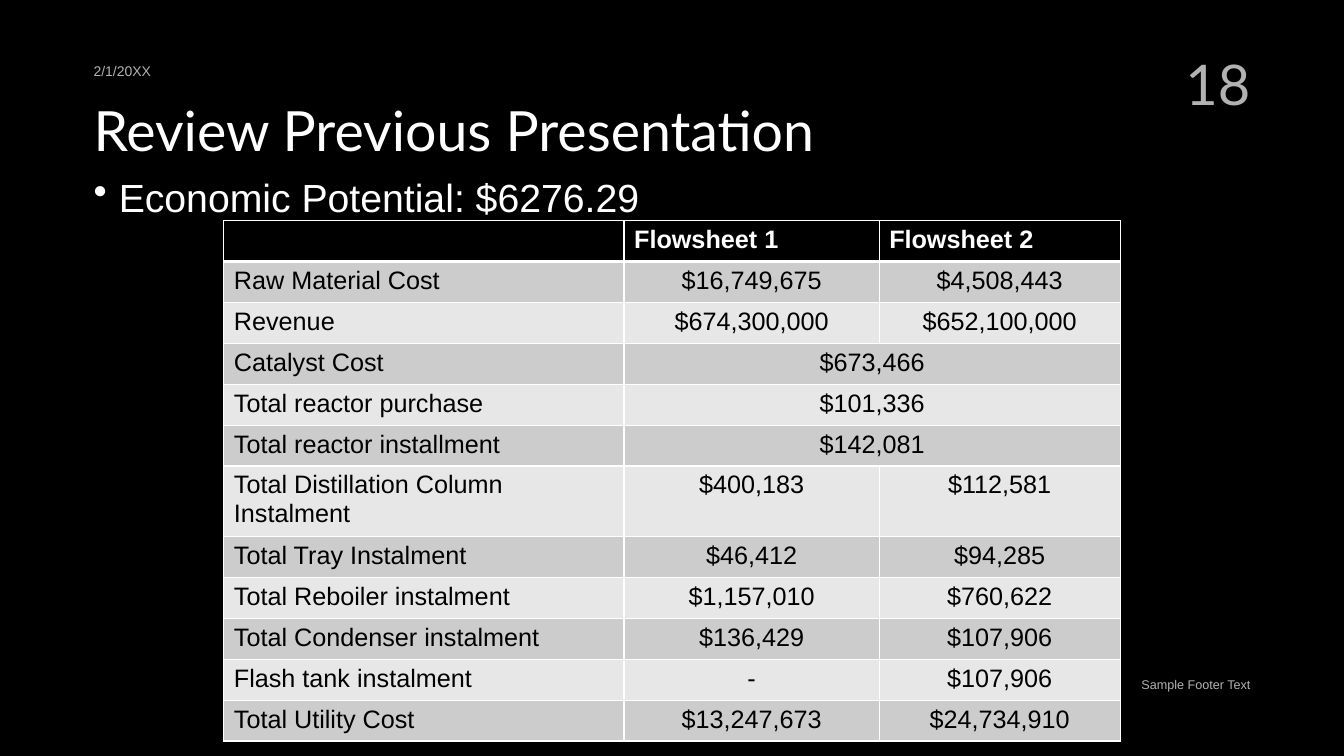
from dataclasses import dataclass

from lxml import etree
from pptx import Presentation
from pptx import util as u
from pptx.dml.color import RGBColor
from pptx.enum import text as t
from pptx.oxml import ns


@dataclass(frozen=True)
class Theme:
    back: str = "000000"
    white: str = "FFFFFF"
    muted: str = "B2B2B2"
    ink: str = "000000"
    bands: tuple[str, str] = ("CCCCCC", "E7E7E7")
    head: str = "Lato"
    body: str = "Arial"
    title: float = 39.6
    page: float = 40
    point: float = 28
    cell: float = 18
    date: float = 10
    foot: float = 9
    thin: float = 1
    thick: float = 3


@dataclass(frozen=True)
class Label:
    words: str
    box: tuple[float, float, float, float]
    face: str
    size: float
    color: str
    align: t.PP_ALIGN = t.PP_ALIGN.LEFT
    anchor: t.MSO_ANCHOR = t.MSO_ANCHOR.TOP
    lead: float = 1.0
    bullet: bool = False


@dataclass(frozen=True)
class Row:
    """A cost line; a single value covers both flowsheets."""
    name: str
    costs: tuple[str, ...]


LOOK = Theme()
RIGHT = t.PP_ALIGN.RIGHT
LABELS = [
    Label("Review Previous Presentation", (0.83, 0.98, 11.67, 0.83),
          LOOK.head, LOOK.title, LOOK.white, lead=0.9),
    Label("2/1/20XX", (0.83, 0.44, 3.33, 0.4), LOOK.body, LOOK.date,
          LOOK.muted, anchor=t.MSO_ANCHOR.BOTTOM),
    Label("18", (10, 0.44, 2.5, 0.83), LOOK.head, LOOK.page, LOOK.muted, RIGHT),
    Label("Economic Potential: $6276.29", (0.83, 1.74, 11.67, 0.51),
          LOOK.body, LOOK.point, LOOK.white, anchor=t.MSO_ANCHOR.MIDDLE,
          lead=0.8, bullet=True),
    Label("Sample Footer Text", (7.5, 6.67, 5, 0.4), LOOK.body, LOOK.foot,
          LOOK.muted, RIGHT),
]
ROWS = [
    Row("", ("Flowsheet 1", "Flowsheet 2")),
    Row("Raw Material Cost", ("$16,749,675", "$4,508,443")),
    Row("Revenue", ("$674,300,000", "$652,100,000")),
    Row("Catalyst Cost", ("$673,466",)),
    Row("Total reactor purchase", ("$101,336",)),
    Row("Total reactor installment", ("$142,081",)),
    Row("Total Distillation Column Instalment", ("$400,183", "$112,581")),
    Row("Total Tray Instalment", ("$46,412", "$94,285")),
    Row("Total Reboiler instalment", ("$1,157,010", "$760,622")),
    Row("Total Condenser instalment", ("$136,429", "$107,906")),
    Row("Flash tank instalment", ("-", "$107,906")),
    Row("Total Utility Cost", ("$13,247,673", "$24,734,910")),
]
COLS = (3.97, 2.53, 2.39)
LEFT, TOP, TALL = 2.22, 2.19, 4.87


def style(para, face: str, size: float, color: str, bold: bool = False) -> None:
    form = {"name": face, "size": u.Pt(size), "bold": bold}
    for key, value in form.items():
        setattr(para.font, key, value)
    para.font.color.rgb = RGBColor.from_string(color)


def add_dot(para) -> None:
    """Give the paragraph a round bullet with a hanging indent."""
    props = para._p.get_or_add_pPr()
    props.set("marL", str(u.Inches(0.25)))
    props.set("indent", str(-u.Inches(0.25)))
    etree.SubElement(props, ns.qn("a:buChar"), char="•")


def add_label(slide, item: Label) -> None:
    frame = slide.shapes.add_textbox(*map(u.Inches, item.box)).text_frame
    para = frame.paragraphs[0]
    para.text = item.words
    if item.bullet:
        add_dot(para)
    for key, value in {"word_wrap": True, "vertical_anchor": item.anchor}.items():
        setattr(frame, key, value)
    for key, value in {"alignment": item.align, "line_spacing": item.lead}.items():
        setattr(para, key, value)
    style(para, item.face, item.size, item.color)


def add_edges(cell, row: int) -> None:
    """Rule the cell in white, heavier between the header and the costs."""
    widths = {"L": LOOK.thin, "R": LOOK.thin,
              "T": LOOK.thick if row == 1 else LOOK.thin,
              "B": LOOK.thick if row == 0 else LOOK.thin}
    props = cell._tc.get_or_add_tcPr()
    for side, width in widths.items():
        line = etree.SubElement(props, ns.qn(f"a:ln{side}"), w=str(u.Pt(width)))
        fill = etree.SubElement(line, ns.qn("a:solidFill"))
        etree.SubElement(fill, ns.qn("a:srgbClr"), val=LOOK.white)


def add_costs(slide) -> None:
    size = map(u.Inches, (LEFT, TOP, sum(COLS), TALL))
    grid = slide.shapes.add_table(len(ROWS), len(COLS), *size).table
    for key in ("first_row", "horz_banding"):
        setattr(grid, key, False)
    for col, width in zip(grid.columns, COLS):
        col.width = u.Inches(width)
    for r, row in enumerate(ROWS):
        head = r == 0
        grid.rows[r].height = u.Inches(TALL / len(ROWS))
        if len(row.costs) == 1:
            grid.cell(r, 1).merge(grid.cell(r, 2))
        for c in range(len(COLS)):
            cell = grid.cell(r, c)
            add_edges(cell, r)
            cell.fill.solid()
            shade = LOOK.back if head else LOOK.bands[(r - 1) % 2]
            cell.fill.fore_color.rgb = RGBColor.from_string(shade)
        for c, words in enumerate((row.name, *row.costs)):
            para = grid.cell(r, c).text_frame.paragraphs[0]
            para.text = words
            if c and not head:
                para.alignment = t.PP_ALIGN.CENTER
            style(para, LOOK.body, LOOK.cell, LOOK.white if head else LOOK.ink, head)


def main() -> None:
    deck = Presentation()
    for key, value in {"slide_width": 13.33, "slide_height": 7.5}.items():
        setattr(deck, key, u.Inches(value))
    slide = deck.slides.add_slide(deck.slide_layouts[6])
    slide.background.fill.solid()
    slide.background.fill.fore_color.rgb = RGBColor.from_string(LOOK.back)
    for item in LABELS:
        add_label(slide, item)
    add_costs(slide)
    deck.save("out.pptx")


if __name__ == "__main__":
    main()
